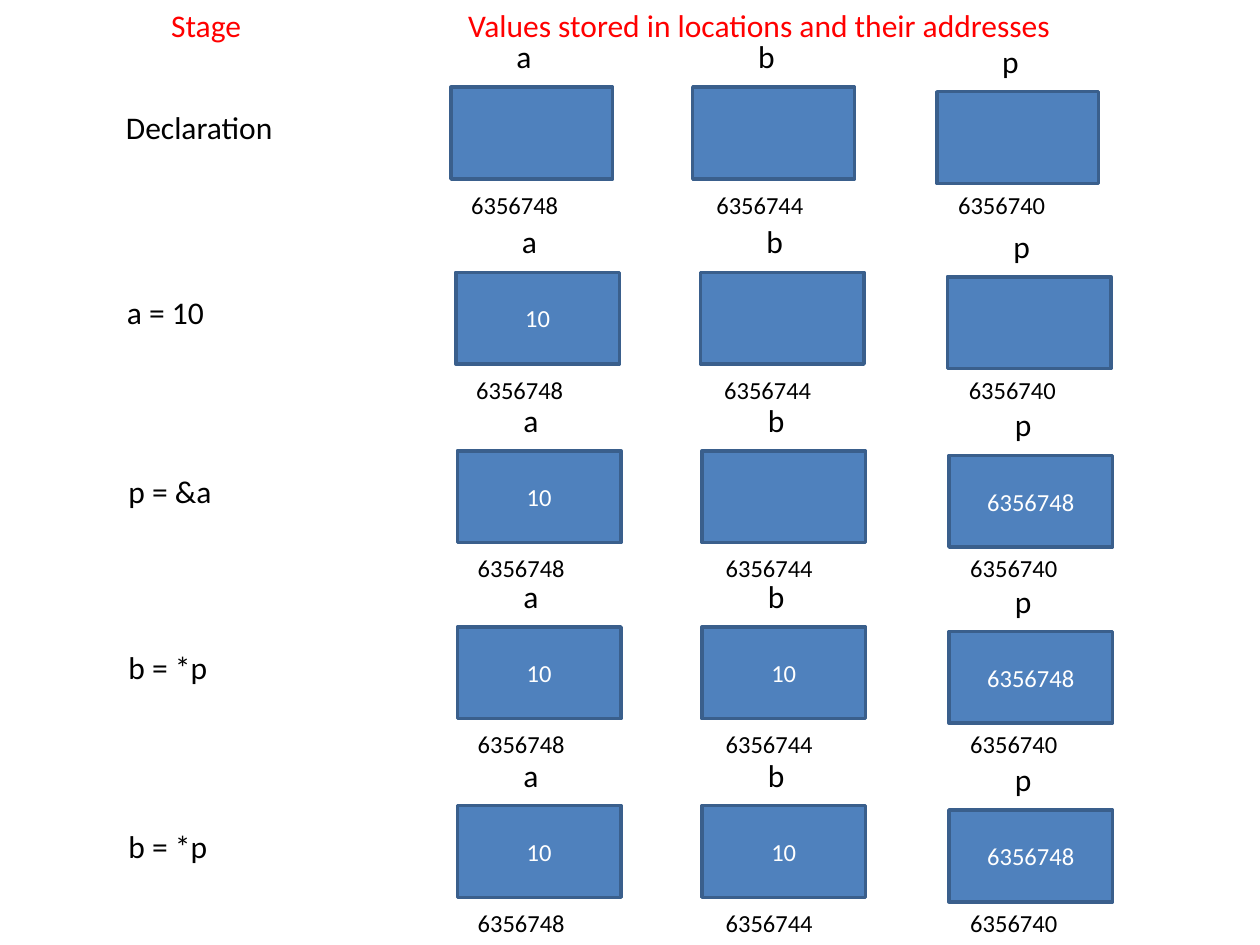
from pptx import Presentation
from pptx.dml.color import RGBColor
from pptx.enum.shapes import MSO_SHAPE
from pptx.enum.text import MSO_ANCHOR, MSO_AUTO_SIZE, PP_ALIGN
from pptx.util import Cm, Pt

RED = RGBColor(0xFF, 0x00, 0x00)
BLACK = RGBColor(0x00, 0x00, 0x00)
WHITE = RGBColor(0xFF, 0xFF, 0xFF)
BLUE = RGBColor(0x4F, 0x81, 0xBD)
DARK_BLUE = RGBColor(0x3A, 0x5F, 0x8C)

FULL_WIDTH = 20.09  # row width at which the column offsets below hold
# name, name width, address, cell x, address x, drop (cm, from the row's corner)
COLUMNS = [
    ("a", 0.82, "6356748", 6.88, 7.04, 0),
    ("b", 0.86, "6356744", 11.81, 12.04, 0),
    ("p", 0.86, "6356740", 16.79, 16.97, 0.09),
]
# row left, top, width, stage, stage width, values of a, b and p
STAGES = [
    (2.29, 0.63, 19.86, "Declaration", 3.51, ("", "", "")),
    (2.31, 4.36, 20.09, "a = 10", 2.08, ("10", "", "")),
    (2.34, 7.96, 20.09, "p = &a", 2.21, ("10", "", "6356748")),
    (2.34, 11.51, 20.09, "b = *p", 2.13, ("10", "10", "6356748")),
    (2.34, 15.11, 20.09, "b = *p", 2.13, ("10", "10", "6356748")),
]


def style_text(tf, text, size, color):
    tf.text = text
    font = tf.paragraphs[0].runs[0].font
    font.name = "Calibri"
    font.size = Pt(size)
    font.color.rgb = color


def add_label(shapes, x, y, w, text, size=18, color=BLACK):
    h = 1.02 if size == 18 else 0.86
    tf = shapes.add_textbox(Cm(x), Cm(y), Cm(w), Cm(h)).text_frame
    tf.word_wrap = False
    tf.auto_size = MSO_AUTO_SIZE.SHAPE_TO_FIT_TEXT
    style_text(tf, text, size, color)


def add_cell(shapes, x, y, w, value):
    sp = shapes.add_shape(MSO_SHAPE.RECTANGLE, Cm(x), Cm(y), Cm(w), Cm(1.85))
    sp.shadow.inherit = False
    sp.fill.solid()
    sp.fill.fore_color.rgb = BLUE
    sp.line.color.rgb = DARK_BLUE
    sp.line.width = Pt(2)
    if value:
        tf = sp.text_frame
        tf.vertical_anchor = MSO_ANCHOR.MIDDLE
        style_text(tf, value, 14, WHITE)
        tf.paragraphs[0].alignment = PP_ALIGN.CENTER


def add_header(s):
    add_label(s.shapes, 3.2, 0, 1.93, "Stage", color=RED)
    add_label(s.shapes, 9.19, 0, 12.4,
              "Values stored in locations and their addresses", color=RED)


def add_stage(s, left, top, width, stage, stage_width, values):
    shapes = s.shapes.add_group_shape().shapes
    scale = width / FULL_WIDTH
    add_label(shapes, left, top + 1.43, stage_width, stage)

    # Named memory cells
    for (name, name_width, _, cell_x, _, drop), value in zip(COLUMNS, values):
        x, y = left + cell_x * scale, top + drop
        add_cell(shapes, x, y + 1.13, 3.3 * scale, value)
        add_label(shapes, x + 1.08 * scale, y, name_width, name)

    # Addresses under the cells
    for _, _, address, _, address_x, _ in COLUMNS:
        add_label(shapes, left + address_x * scale, top + 3.07, 2.29, address, 14)


def main():
    prs = Presentation()
    prs.slide_width, prs.slide_height = Cm(25.4), Cm(19.05)
    s = prs.slides.add_slide(prs.slide_layouts[6])
    add_header(s)
    for stage in STAGES:
        add_stage(s, *stage)
    prs.save("out.pptx")


if __name__ == "__main__":
    main()
